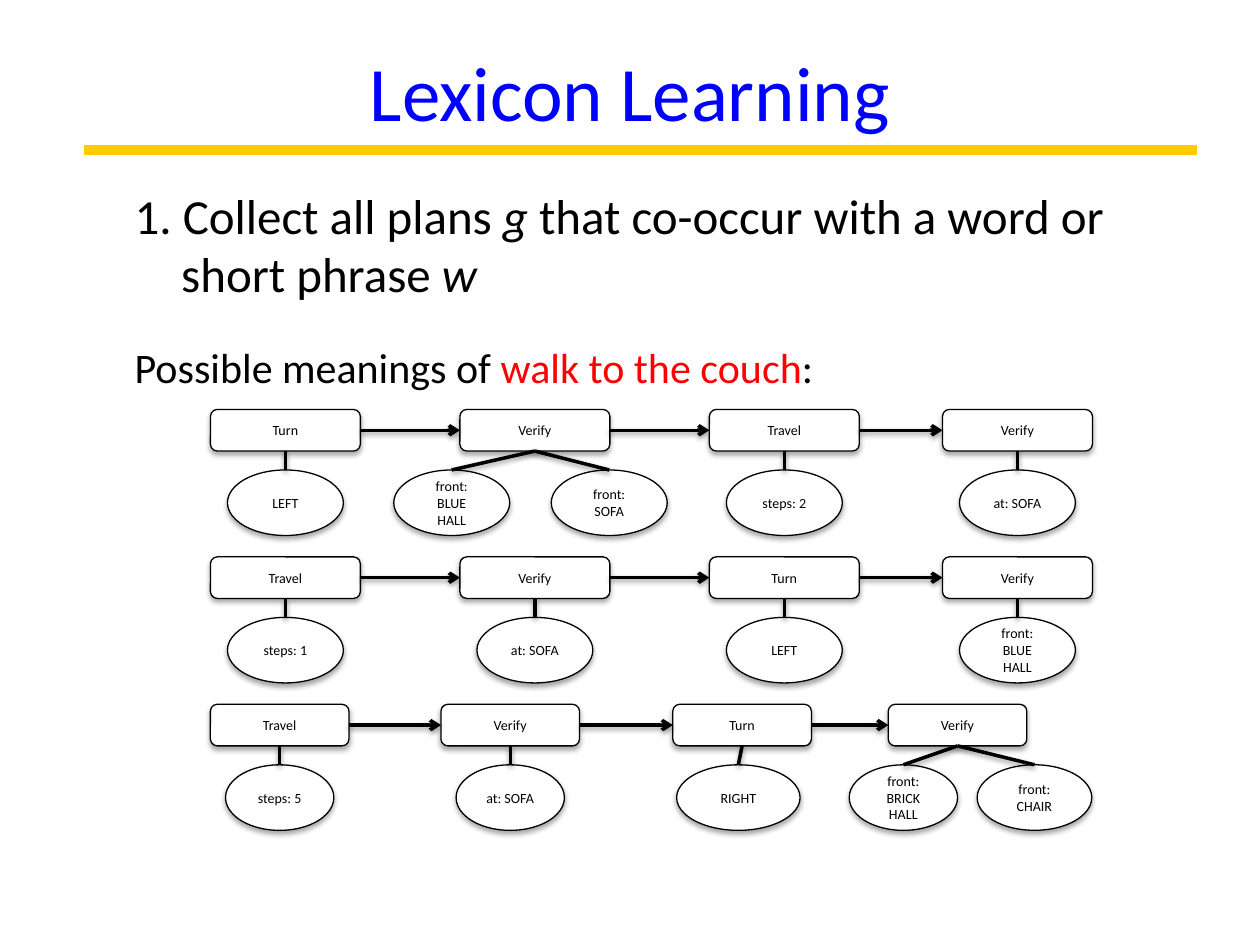
from lxml.etree import SubElement
from pptx import Presentation
from pptx.dml.color import RGBColor
from pptx.enum.shapes import MSO_CONNECTOR, MSO_SHAPE
from pptx.enum.text import MSO_ANCHOR, PP_ALIGN
from pptx.oxml.ns import qn
from pptx.util import Inches, Pt

FONT = "Calibri"
COLORS = {"title": "0000FF", "rule": "FFCC00", "ink": "000000",
          "phrase": "FF0000", "node": "FFFFFF"}

TITLE = "Lexicon Learning"
# Runs: text, colour, italic
STEP = [("1. Collect all plans ", "ink", False), ("g", "ink", True),
        (" that co-occur with a word or short phrase ", "ink", False),
        ("w", "ink", True)]
QUESTION = [("Possible meanings of ", "ink", False),
            ("walk to the couch", "phrase", False), (":", "ink", False)]

# Each action: left, name, arguments as (text, offset from action centre, width)
WIDE, NARROW = 0.92, 0.86
PLANS = [
    {"box_width": 1.19, "actions": [
        (1.67, "Turn", [("LEFT", 0, WIDE)]),
        (3.65, "Verify", [("front: BLUE\nHALL", -0.66, WIDE),
                          ("front: SOFA", 0.59, WIDE)]),
        (5.63, "Travel", [("steps: 2", 0, WIDE)]),
        (7.48, "Verify", [("at: SOFA", 0, WIDE)])]},
    {"box_width": 1.19, "actions": [
        (1.67, "Travel", [("steps: 1", 0, WIDE)]),
        (3.65, "Verify", [("at: SOFA", 0, WIDE)]),
        (5.63, "Turn", [("LEFT", 0, WIDE)]),
        (7.48, "Verify", [("front: BLUE\nHALL", 0, WIDE)])]},
    {"box_width": 1.1, "actions": [
        (1.67, "Travel", [("steps: 5", 0, NARROW)]),
        (3.5, "Verify", [("at: SOFA", 0, NARROW)]),
        (5.34, "Turn", [("RIGHT", -0.03, 0.98)]),
        (7.05, "Verify", [("front: BRICK HALL", -0.43, NARROW),
                          ("front: CHAIR", 0.61, 0.91)])]},
]
FIRST_TOP, PLAN_PITCH = 3.25, 1.17
BOX_HEIGHT, LEAF_DROP, LEAF_HEIGHT = 0.33, 0.48, 0.52


def color(name):
    return RGBColor.from_string(COLORS[name])


def add_shadow(effects, alpha, distance):
    shadow = SubElement(effects, qn("a:outerShdw"), blurRad=str(Pt(3.1)),
                        dist=str(Pt(distance)), dir="5400000", rotWithShape="0")
    tint = SubElement(shadow, qn("a:srgbClr"), val=COLORS["ink"])
    SubElement(tint, qn("a:alpha"), val=str(alpha * 1000))


def add_line(shapes, start, end, name="ink", width=2, arrow=False, shadow=True):
    line = shapes.add_connector(MSO_CONNECTOR.STRAIGHT,
                                *(Inches(value) for value in (*start, *end)))
    line.line.color.rgb = color(name)
    line.line.width = Pt(width)
    if arrow:
        SubElement(line.line._get_or_add_ln(), qn("a:tailEnd"), type="arrow")
    effects = SubElement(line._element.spPr, qn("a:effectLst"))
    if shadow:
        add_shadow(effects, 38, 1.6)


def add_node(shapes, kind, left, top, width, height, text):
    node = shapes.add_shape(kind, Inches(left), Inches(top),
                            Inches(width), Inches(height))
    node.fill.solid()
    node.fill.fore_color.rgb = color("node")
    node.line.color.rgb = color("ink")
    node.line.width = Pt(0.75)
    node.shadow.inherit = False
    add_shadow(node._element.spPr.find(qn("a:effectLst")), 35, 1.8)
    frame = node.text_frame
    frame.text = text
    frame.word_wrap = True
    frame.vertical_anchor = MSO_ANCHOR.MIDDLE
    for para in frame.paragraphs:
        para.alignment = PP_ALIGN.CENTER
        para.font.name, para.font.size = FONT, Pt(8)
        para.font.color.rgb = color("ink")


def add_text(page, left, top, width, height, runs, size):
    box = page.shapes.add_textbox(Inches(left), Inches(top),
                                  Inches(width), Inches(height))
    box.text_frame.word_wrap = True
    para = box.text_frame.paragraphs[0]
    para.font.name, para.font.size = FONT, Pt(size)
    for text, name, italic in runs:
        span = para.add_run()
        span.text = text
        span.font.color.rgb = color(name)
        span.font.italic = italic
    return box.text_frame, para


def add_plan(page, top, box_width, actions):
    shapes = page.shapes.add_group_shape().shapes
    bottom, leaf_top = top + BOX_HEIGHT, top + LEAF_DROP
    middle = top + BOX_HEIGHT / 2
    for left, name, leaves in actions:
        add_node(shapes, MSO_SHAPE.ROUNDED_RECTANGLE,
                 left, top, box_width, BOX_HEIGHT, name)
        center = left + box_width / 2
        for text, offset, width in leaves:
            leaf_center = center + offset
            add_node(shapes, MSO_SHAPE.OVAL, leaf_center - width / 2,
                     leaf_top, width, LEAF_HEIGHT, text)
            add_line(shapes, (center, bottom), (leaf_center, leaf_top))
    for current, following in zip(actions, actions[1:]):
        add_line(shapes, (current[0] + box_width, middle),
                 (following[0], middle), arrow=True)


def main():
    deck = Presentation()
    deck.slide_width, deck.slide_height = Inches(10), Inches(7.5)
    page = deck.slides.add_slide(deck.slide_layouts[6])

    frame, para = add_text(page, 0.5, 0.25, 9, 0.94,
                           [(TITLE, "title", False)], 44)
    frame.vertical_anchor = MSO_ANCHOR.MIDDLE
    para.alignment = PP_ALIGN.CENTER
    add_line(page.shapes, (0.67, 1.19), (9.5, 1.19), "rule", 6, shadow=False)

    frame, para = add_text(page, 0.97, 1.42, 8.17, 1.04, STEP, 28)
    properties = para._p.get_or_add_pPr()
    properties.set("marL", str(Inches(0.37)))
    properties.set("indent", str(Inches(-0.37)))
    add_text(page, 0.97, 2.66, 6.78, 0.5, QUESTION, 24)

    for row, plan in enumerate(PLANS):
        add_plan(page, FIRST_TOP + row * PLAN_PITCH, **plan)
    deck.save("out.pptx")


if __name__ == "__main__":
    main()
